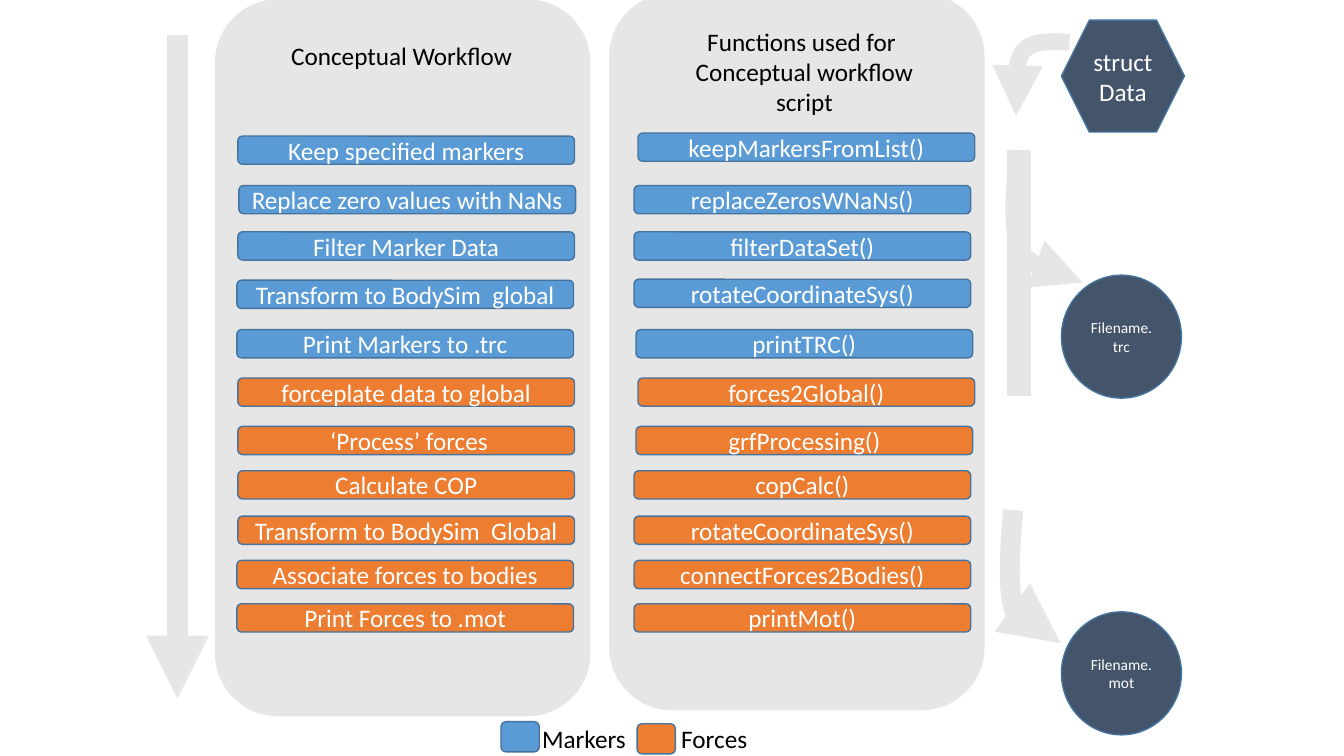
"""Build the slide that pairs workflow steps with the functions behind them."""
from dataclasses import dataclass

from lxml.etree import SubElement
from pptx import Presentation
from pptx.dml.color import RGBColor
from pptx.enum.shapes import MSO_CONNECTOR as Link, MSO_SHAPE as Kind
from pptx.enum.text import MSO_ANCHOR as Anchor, PP_ALIGN as Align
from pptx.oxml.ns import qn
from pptx.util import Inches, Pt

UNIT = Inches(0.1)
COLS, ROWS = 133.33, 75
GREY = RGBColor(0xE7, 0xE6, 0xE6)
BLUE = RGBColor(0x5B, 0x9B, 0xD5)
RUST = RGBColor(0xED, 0x7D, 0x31)
NAVY = RGBColor(0x44, 0x54, 0x6A)
EDGE = RGBColor(0x43, 0x73, 0x9E)
WHITE = RGBColor(0xFF, 0xFF, 0xFF)
BLACK = RGBColor(0, 0, 0)
BAR_WIDE, BAR_HIGH = 33.4, 2.8
STEPS = 16
Point = tuple[float, float]


@dataclass
class Box:
    """A filled shape, placed in grid columns and rows."""
    col: float
    row: float
    wide: float
    high: float
    fill: RGBColor
    text: str = ""
    kind: Kind = Kind.ROUNDED_RECTANGLE
    edge: RGBColor = EDGE
    size: float = 18


@dataclass
class Label:
    """Free text, placed in grid columns and rows."""
    col: float
    row: float
    wide: float
    high: float
    text: str
    align: Align = Align.LEFT


@dataclass
class Bend:
    """A curved arrow of Bezier spans that share their end points."""
    width: float
    dots: list[Point]


@dataclass
class Rule:
    """A straight upright line, with or without an arrowhead."""
    col: float
    top: float
    end: float
    width: float
    head: bool


def grid(*vals: float) -> list[int]:
    """Turn grid units into slide lengths."""
    return [round(val * UNIT) for val in vals]


def style(item: object, form: dict) -> None:
    """Set each format value on the item."""
    for name, val in form.items():
        setattr(item, name, val)


def write(shape, text: str, size: float, ink: RGBColor, align: Align, form: dict) -> None:
    """Put text in the shape, one paragraph per line."""
    frame = shape.text_frame
    frame.text = text
    style(frame, form)
    for para in frame.paragraphs:
        para.alignment = align
        style(para.font, {"size": Pt(size), "name": "Calibri"})
        para.font.color.rgb = ink


def stroke(item, ink: RGBColor, width: float, head: bool = False) -> None:
    """Colour the line and add an arrowhead if asked."""
    item.line.color.rgb = ink
    item.line.width = Pt(width)
    if head:
        line = item.element.spPr.find(qn("a:ln"))
        SubElement(line, qn("a:tailEnd"), type="triangle")


def draw_box(shapes, box: Box) -> None:
    """Draw one filled shape."""
    shape = shapes.add_shape(box.kind, *grid(box.col, box.row, box.wide, box.high))
    shape.shadow.inherit = False
    shape.fill.solid()
    shape.fill.fore_color.rgb = box.fill
    stroke(shape, box.edge, 1)
    if box.text:
        form = {"word_wrap": True, "vertical_anchor": Anchor.MIDDLE}
        write(shape, box.text, box.size, WHITE, Align.CENTER, form)


def draw_label(shapes, label: Label) -> None:
    """Draw one piece of free text."""
    shape = shapes.add_textbox(*grid(label.col, label.row, label.wide, label.high))
    write(shape, label.text, 18, BLACK, label.align, {"word_wrap": False})


def blend(span: list[Point], part: float) -> Point:
    """Find the point a given part of the way along a Bezier span."""
    rest = 1 - part
    loads = (rest ** 3, 3 * rest ** 2 * part, 3 * rest * part ** 2, part ** 3)
    col, row = (sum(load * dot[axis] for load, dot in zip(loads, span)) for axis in (0, 1))
    return col, row


def draw_bend(shapes, bend: Bend) -> None:
    """Draw one curved arrow."""
    dots = bend.dots
    pen = shapes.build_freeform(*grid(*dots[0]))
    trail = [grid(*blend(dots[at:at + 4], step / STEPS))
             for at in range(0, len(dots) - 1, 3) for step in range(1, STEPS + 1)]
    pen.add_line_segments(trail, close=False)
    shape = pen.convert_to_shape()
    shape.shadow.inherit = False
    shape.fill.background()
    stroke(shape, GREY, bend.width, True)


def draw_rule(shapes, rule: Rule) -> None:
    """Draw one straight line."""
    link = shapes.add_connector(Link.STRAIGHT, *grid(rule.col, rule.top, rule.col, rule.end))
    stroke(link, GREY, rule.width, rule.head)
    SubElement(link.element.spPr, qn("a:effectLst"))


PANELS = [Box(60.5, -0.6, 37.1, 71, GREY, edge=GREY), Box(21.4, 0, 37.1, 71, GREY, edge=GREY)]
TASKS = [
    (23.6, 13.5, "Keep specified markers"),
    (23.7, 18.4, "Replace zero values with NaNs"),
    (23.6, 23, "Filter Marker Data"),
    (23.5, 27.8, "Transform to BodySim  global"),
    (23.5, 32.7, "Print Markers to .trc"),
    (23.6, 37.5, "forceplate data to global"),
    (23.6, 42.3, " ‘Process’ forces"),
    (23.6, 46.7, "Calculate COP"),
    (23.6, 51.2, "Transform to BodySim  Global"),
    (23.5, 55.6, "Associate forces to bodies"),
    (23.5, 59.9, "Print Forces to .mot"),
]
CALLS = [
    (63.3, 13.2, "keepMarkersFromList()"),
    (62.9, 18.4, "replaceZerosWNaNs()"),
    (62.9, 23, "filterDataSet()"),
    (62.9, 27.7, "rotateCoordinateSys()"),
    (63.1, 32.7, "printTRC()"),
    (63.3, 37.5, "forces2Global()"),
    (63.1, 42.3, "grfProcessing()"),
    (62.9, 46.7, "copCalc()"),
    (62.9, 51.2, "rotateCoordinateSys()"),
    (62.9, 55.6, "connectForces2Bodies()"),
    (62.9, 59.9, "printMot()"),
]
MARKS = 5
BARS = [Box(col, row, BAR_WIDE, BAR_HIGH, BLUE if at < MARKS else RUST, text)
        for side in (TASKS, CALLS) for at, (col, row, text) in enumerate(side)]
KEYS = [Box(63.2, 71.8, 3.8, 3, RUST), Box(49.7, 71.6, 3.8, 3, BLUE)]
FILES = [Box(105.3, 2, 12.2, 11.1, NAVY, "struct\vData", Kind.HEXAGON)] + [
    Box(105.3, row, 11.9, 12.2, NAVY, text, Kind.OVAL, size=11)
    for row, text in ((27.3, "Filename.trc"), (60.7, "Filename.mot"))]
LABELS = [
    Label(66.6, 71.3, 8.6, 4, "Forces"),
    Label(52.8, 71.3, 10.4, 4, "Markers"),
    Label(27.9, 3.5, 24.2, 4, "Conceptual Workflow"),
    Label(67.9, 2.1, 23.8, 10.1, "Functions used for \nConceptual workflow\nscript", Align.CENTER),
]
BENDS = [
    Bend(12, [(101, 14.9), (100.6, 18.8), (100.2, 22.6), (101.2, 24.7),
              (102.3, 26.9), (106.3, 27.4), (107.4, 28)]),
    Bend(14.25, [(100.5, 50.6), (100.2, 54.4), (99.9, 58.3), (100.6, 60.5),
                 (101.4, 62.7), (104.4, 63.2), (105.2, 63.8)]),
    Bend(12, [(106.1, 4.2), (104.2, 4.1), (102.3, 4), (101.4, 5.2),
              (100.5, 6.5), (100.9, 10.5), (100.8, 11.5)]),
]
RULES = [Rule(101.1, 14.9, 39.3, 17, False), Rule(17.6, 3.5, 69.3, 15, True)]

deck = Presentation()
style(deck, dict(zip(("slide_width", "slide_height"), grid(COLS, ROWS))))
shapes = deck.slides.add_slide(deck.slide_layouts[6]).shapes
for draw, items in ((draw_box, PANELS + BARS + KEYS), (draw_label, LABELS),
                    (draw_bend, BENDS), (draw_rule, RULES), (draw_box, FILES)):
    for item in items:
        draw(shapes, item)
deck.save("out.pptx")
